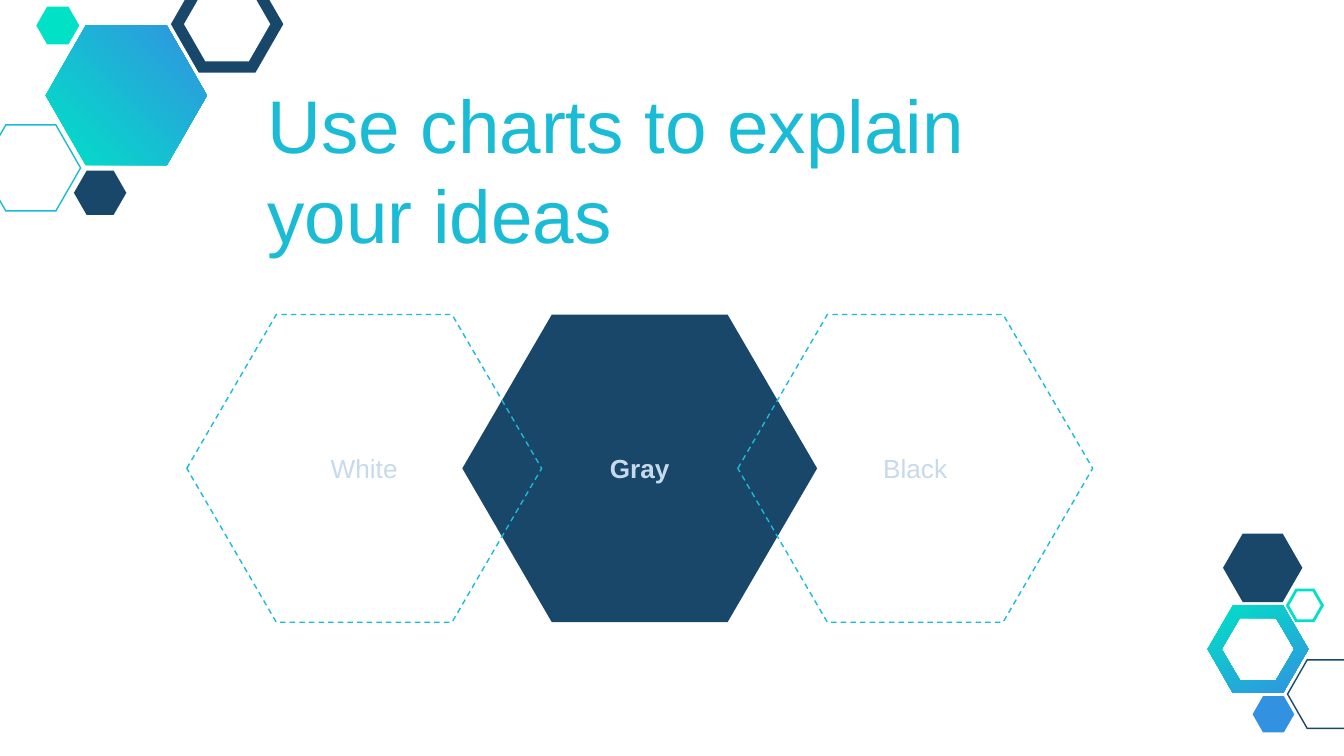
from lxml import etree
from pptx import Presentation
from pptx.dml.color import RGBColor
from pptx.enum import dml, shapes, text
from pptx.oxml import ns
from pptx.util import Inches, Pt

NAVY = RGBColor(0x18, 0x47, 0x69)
CYAN = RGBColor(0x19, 0xBB, 0xD5)
MINT = RGBColor(0x00, 0xE1, 0xC6)
BLUE = RGBColor(0x32, 0x92, 0xE1)
PALE = RGBColor(0xC6, 0xDA, 0xEC)
FONT = "Arial"

TITLE = "Use charts to explain your ideas"
# Labels from back to front: column, wording, emphasised
LABELS = [(1, "Gray", True), (0, "White", False), (2, "Black", False)]
COLUMN_LEFT, COLUMN_STEP, COLUMN_TOP = 1.39, 2.05, 2.34
LABEL_SIZE = (2.64, 2.29)

# Decorations: left, top, width, height, format
DECORATIONS = [
    (0.34, 0.19, 1.2, 1.04, {"gradient": 45}),
    (-0.14, 0.93, 0.74, 0.64, {"line": CYAN, "weight": 0.75}),
    (0.55, 1.27, 0.39, 0.33, {"fill": NAVY}),
    (1.32, -0.14, 0.74, 0.64, {"line": NAVY, "weight": 6}),
    (0.27, 0.05, 0.32, 0.28, {"fill": MINT}),
    (9.58, 4.91, 0.59, 0.51, {"line": NAVY, "weight": 0.75}),
    (9.32, 5.18, 0.31, 0.27, {"fill": BLUE}),
    (9.1, 3.97, 0.59, 0.51, {"fill": NAVY}),
    (9.58, 4.39, 0.26, 0.23, {"line": MINT, "weight": 1.5}),
]
RING_CENTER = (9.36, 4.83)
RING_SIZES = [(0.75, 0.65), (0.54, 0.46)]
RING_CORNERS = [(-0.5, 0), (-0.25, -0.5), (0.25, -0.5), (0.5, 0), (0.25, 0.5), (-0.25, 0.5)]


def paint(shape, fill=None, gradient=None, line=None, weight=None, dash=None):
    shape.shadow.inherit = False
    if gradient is not None:
        shape.fill.gradient()
        shape.fill.gradient_angle = gradient
        for stop, color, position in zip(shape.fill.gradient_stops, (MINT, BLUE), (0, 1)):
            stop.color.rgb = color
            stop.position = position
    elif fill is not None:
        shape.fill.solid()
        shape.fill.fore_color.rgb = fill
    else:
        shape.fill.background()
    if line is None:
        shape.line.fill.background()
        return
    shape.line.color.rgb = line
    shape.line.width = Pt(weight)
    if dash:
        shape.line.dash_style = dash
    outline = shape.element.spPr.find(ns.qn("a:ln"))
    etree.SubElement(outline, ns.qn("a:miter"), lim="800000")


def add_hexagon(page, left, top, width, height, look, slant=0.287):
    hexagon = page.shapes.add_shape(
        shapes.MSO_SHAPE.HEXAGON, *map(Inches, (left, top, width, height)))
    hexagon.adjustments[0] = slant
    paint(hexagon, **look)
    return hexagon


def add_ring(page):
    x, y = RING_CENTER
    outer, inner = [
        [(Inches(x + dx * width), Inches(y + dy * height)) for dx, dy in RING_CORNERS]
        for width, height in RING_SIZES]
    inner.reverse()  # opposite winding cuts the hole
    builder = page.shapes.build_freeform(*outer[0])
    builder.add_line_segments(outer[1:], close=True)
    builder.move_to(*inner[0])
    builder.add_line_segments(inner[1:], close=True)
    paint(builder.convert_to_shape(), gradient=300)


def write(shape, words, anchor, align, color, **font):
    frame = shape.text_frame
    frame.word_wrap = True
    frame.auto_size = text.MSO_AUTO_SIZE.NONE
    frame.vertical_anchor = anchor
    for side in ("left", "top", "right", "bottom"):
        setattr(frame, f"margin_{side}", Inches(0.1))
    para = frame.paragraphs[0]
    para.alignment = align
    para.line_spacing = 1.0
    para.space_before = Pt(0)
    span = para.add_run()
    span.text = words
    span.font.color.rgb = color
    for name, value in {"name": FONT, **font}.items():
        setattr(span.font, name, value)


def main():
    deck = Presentation()
    deck.slide_width = Inches(10)
    deck.slide_height = deck.slide_width * 9 // 16
    page = deck.slides.add_slide(deck.slide_layouts[5])

    title = page.shapes.title
    title.left, title.top, title.width, title.height = map(Inches, (1.89, 1.31, 5.41, 0.71))
    write(title, TITLE, text.MSO_ANCHOR.BOTTOM, text.PP_ALIGN.LEFT, CYAN, size=Pt(40))

    add_ring(page)
    for *place, look in DECORATIONS:
        add_hexagon(page, *place, look)

    outline = {"line": CYAN, "weight": 0.75, "dash": dml.MSO_LINE.DASH}
    for column, words, emphasised in LABELS:
        left = COLUMN_LEFT + column * COLUMN_STEP
        look = {"fill": NAVY} if emphasised else outline
        hexagon = add_hexagon(page, left, COLUMN_TOP, *LABEL_SIZE, look, slant=0.291)
        write(hexagon, words, text.MSO_ANCHOR.MIDDLE, text.PP_ALIGN.CENTER, PALE,
              size=Pt(14), bold=emphasised)

    deck.save("out.pptx")


if __name__ == "__main__":
    main()
